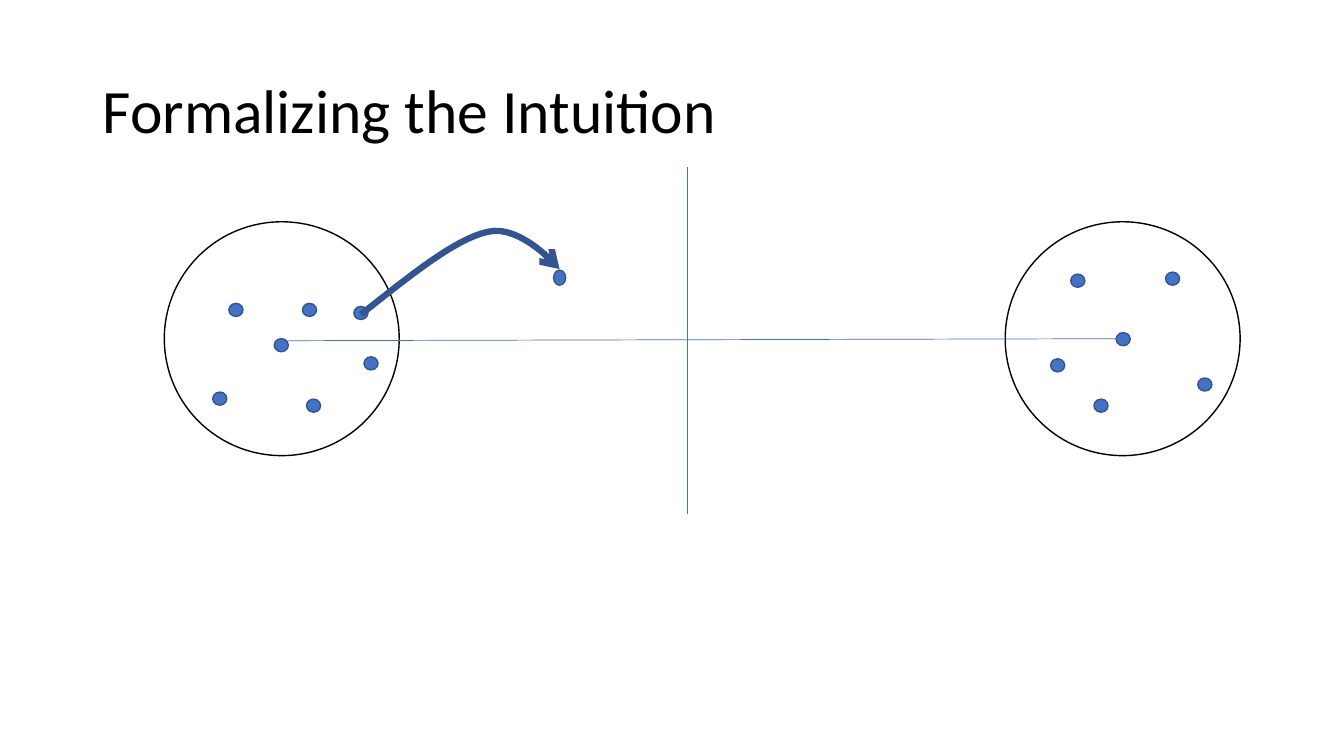
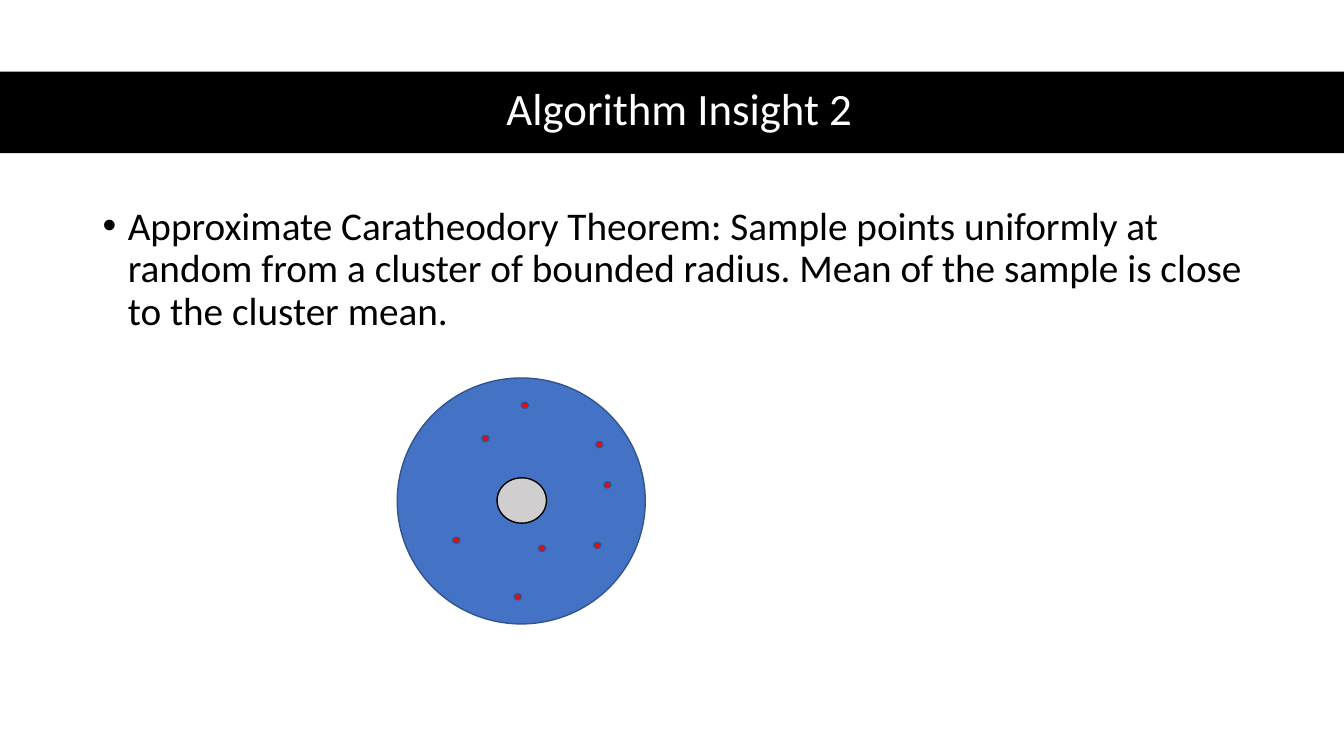
from lxml import etree
from pptx import Presentation
from pptx import util as u
from pptx.dml.color import RGBColor
from pptx.enum import shapes, text
from pptx.oxml import ns

FONT = "Calibri"
BLACK, WHITE, GREY, RED = "000000", "FFFFFF", "D0CECE", "FF0000"
BLUE, DARK_BLUE = "4472C4", "325491"

INTUITION_TITLE = "Formalizing the Intuition"
INSIGHT_TITLE = "Algorithm Insight 2"
THEOREM = ("Approximate Caratheodory Theorem: Sample points uniformly at random "
           "from a cluster of bounded radius. Mean of the sample is close to the "
           "cluster mean.")

# Left and top of each item, in inches
CLUSTERS = [(9.97, 2.2), (1.63, 2.2)]
CLUSTER_SIZE = (2.33, 2.32)
LEFT_POINTS = [(2.27, 3.01), (3, 3.01), (3.04, 3.96), (2.72, 3.36),
               (3.51, 3.04), (3.61, 3.54), (2.11, 3.89)]
RIGHT_POINTS = [(10.62, 2.72), (10.85, 3.96), (10.42, 3.56), (11.07, 3.3),
                (11.56, 2.7), (11.88, 3.75)]
POINT_SIZE = (0.14, 0.13)
MOVED_POINT = (5.49, 2.68, 0.12, 0.15)
CENTRE_LINE = (2.85, 3.38, 11.2, 3.36)
BISECTOR = (6.82, 1.66, 6.82, 5.1)
MOVE_CURVES = [[(3.58, 3.12), (4.05, 2.75), (4.51, 2.37), (4.84, 2.3)],
               [(4.84, 2.3), (5.17, 2.22), (5.55, 2.67), (5.55, 2.67)]]
CURVE_STEPS = 16

BALL = (3.94, 3.75, 2.46, 2.44)
MEAN_REGION = (4.93, 4.74, 0.49, 0.45)
SAMPLES = [(4.49, 5.33), (5.89, 5.38), (4.78, 4.32), (5.1, 5.89),
           (5.91, 4.38), (5.99, 4.78), (5.34, 5.41), (5.17, 3.99)]
SAMPLE_SIZE = (0.07, 0.06)


def colour(value):
    """Turn a hex string into a colour."""
    return RGBColor.from_string(value)


def set_line(shape, value, width):
    """Give a shape or connector a solid line."""
    shape.line.color.rgb = colour(value)
    shape.line.width = u.Pt(width)


def add_preset(slide, kind, box, fill=None, line=None):
    """Add a preset shape; without a fill or line that part stays empty."""
    shape = slide.shapes.add_shape(kind, *map(u.Inches, box))
    shape.shadow.inherit = False
    if fill:
        shape.fill.solid()
        shape.fill.fore_color.rgb = colour(fill)
    else:
        shape.fill.background()
    if line:
        set_line(shape, line, 1)
    else:
        shape.line.fill.background()
    return shape


def add_ellipse(slide, box, fill=BLUE, line=DARK_BLUE):
    """Add an outlined ellipse."""
    return add_preset(slide, shapes.MSO_SHAPE.OVAL, box, fill, line)


def add_points(slide, places, size, fill=BLUE):
    """Add equal dots at the given places."""
    for place in places:
        add_ellipse(slide, place + size, fill)


def add_line(slide, ends):
    """Add a thin straight line."""
    connector = slide.shapes.add_connector(
        shapes.MSO_CONNECTOR.STRAIGHT, *map(u.Inches, ends))
    set_line(connector, BLUE, 0.5)
    etree.SubElement(connector._element.spPr, ns.qn("a:effectLst"))


def bezier(controls, t):
    """Return the point at t on a cubic curve, in EMU."""
    weights = ((1 - t) ** 3, 3 * t * (1 - t) ** 2, 3 * t ** 2 * (1 - t), t ** 3)
    return tuple(u.Inches(sum(w * value for w, value in zip(weights, axis)))
                 for axis in zip(*controls))


def add_curved_arrow(slide, curves):
    """Add a thick arrow along joined cubic curves."""
    builder = slide.shapes.build_freeform(*bezier(curves[0], 0))
    builder.add_line_segments(
        [bezier(curve, step / CURVE_STEPS)
         for curve in curves for step in range(1, CURVE_STEPS + 1)], close=False)
    arrow = builder.convert_to_shape()
    arrow.shadow.inherit = False
    arrow.fill.background()
    set_line(arrow, DARK_BLUE, 4.5)
    outline = arrow.line._get_or_add_ln()
    etree.SubElement(outline, ns.qn("a:round"))
    etree.SubElement(outline, ns.qn("a:tailEnd"), type="arrow")


def add_text(slide, box, words, size, value=BLACK,
             anchor=text.MSO_ANCHOR.MIDDLE, align=text.PP_ALIGN.LEFT):
    """Add a one-paragraph text box and return the paragraph."""
    frame = slide.shapes.add_textbox(*map(u.Inches, box)).text_frame
    frame.word_wrap = True
    frame.vertical_anchor = anchor
    paragraph = frame.paragraphs[0]
    paragraph.alignment = align
    paragraph.line_spacing = 0.9
    run = paragraph.add_run()
    run.text = words
    run.font.name = FONT
    run.font.size = u.Pt(size)
    run.font.color.rgb = colour(value)
    return paragraph


def add_bullet(paragraph):
    """Give a paragraph a hanging bullet."""
    paragraph.space_before = u.Pt(10)
    properties = paragraph._p.get_or_add_pPr()
    properties.set("marL", str(u.Inches(0.25)))
    properties.set("indent", str(u.Inches(-0.25)))
    etree.SubElement(properties, ns.qn("a:buFont"), typeface="Arial")
    etree.SubElement(properties, ns.qn("a:buChar"), char="•")


def build_intuition(slide):
    """Draw two clusters, their bisector and one moved point."""
    for place in CLUSTERS:
        add_ellipse(slide, place + CLUSTER_SIZE, None, BLACK)
    add_points(slide, LEFT_POINTS, POINT_SIZE)
    add_curved_arrow(slide, MOVE_CURVES)
    add_ellipse(slide, MOVED_POINT)
    add_line(slide, CENTRE_LINE)
    add_line(slide, BISECTOR)
    add_points(slide, RIGHT_POINTS, POINT_SIZE)
    add_text(slide, (0.92, 0.4, 11.5, 1.45), INTUITION_TITLE, 44)


def build_insight(slide):
    """Draw the title band, the theorem and a sampled cluster."""
    add_preset(slide, shapes.MSO_SHAPE.RECTANGLE, (0, 0.71, 13.33, 0.81), BLACK)
    add_text(slide, (0.61, 0.7, 12.26, 0.81), INSIGHT_TITLE, 32, WHITE,
             align=text.PP_ALIGN.CENTER)
    add_bullet(add_text(slide, (0.92, 2, 11.5, 4.76), THEOREM, 28,
                        anchor=text.MSO_ANCHOR.TOP))
    add_ellipse(slide, BALL)
    add_ellipse(slide, MEAN_REGION, GREY, BLACK)
    add_points(slide, SAMPLES, SAMPLE_SIZE, RED)


presentation = Presentation()
presentation.slide_width = u.Inches(13.33)
presentation.slide_height = u.Inches(7.5)
for build in (build_intuition, build_insight):
    build(presentation.slides.add_slide(presentation.slide_layouts[6]))
presentation.save("out.pptx")
